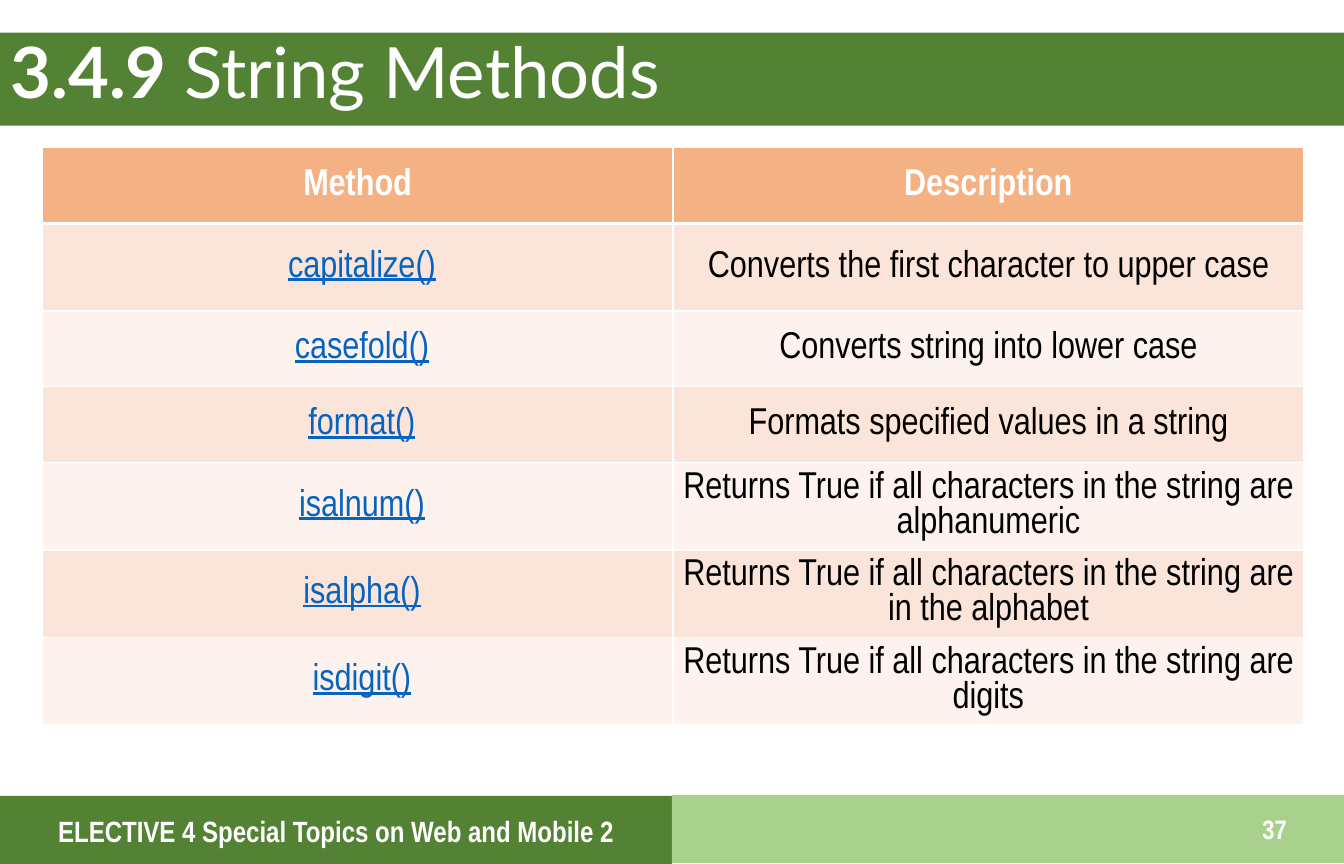
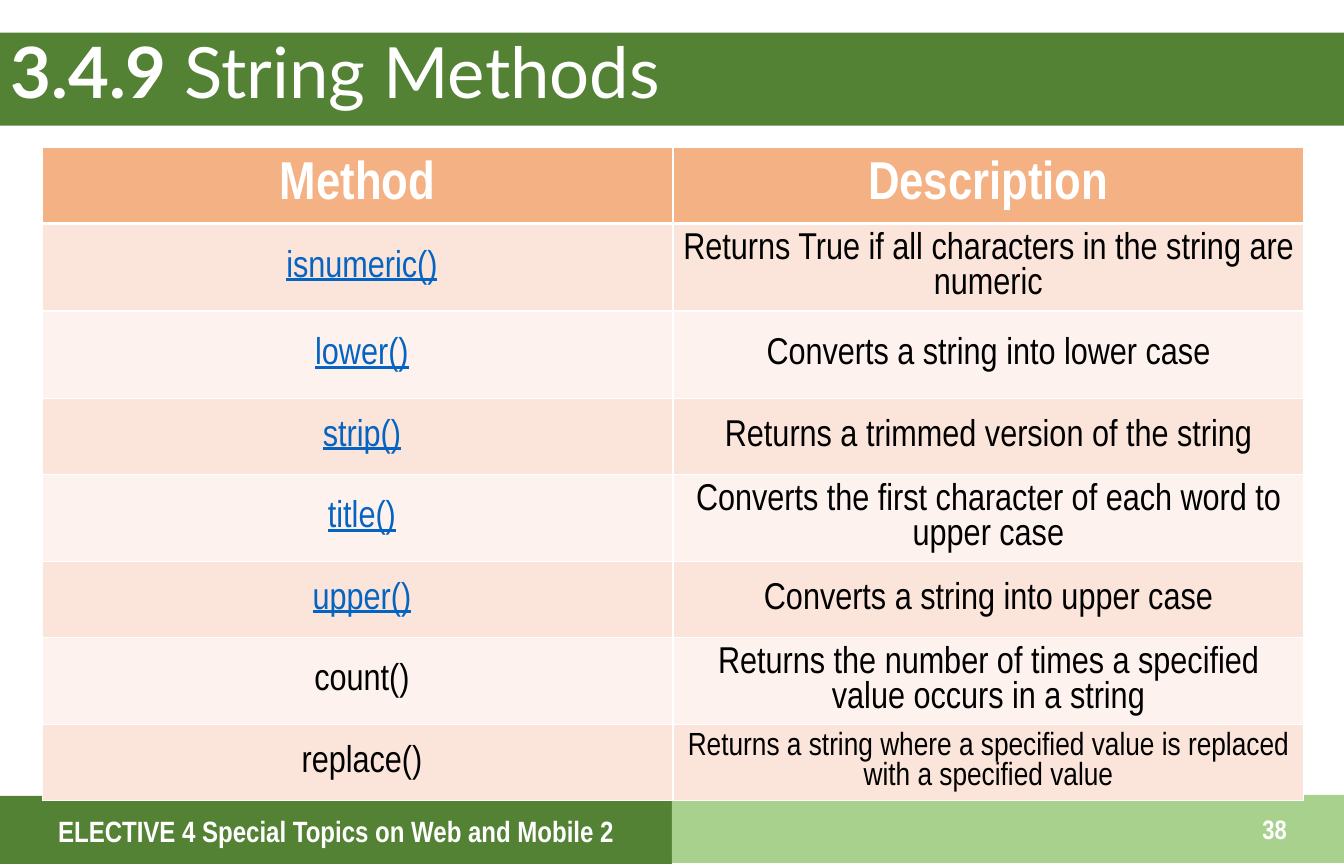
from lxml import etree
from pptx import Presentation
from pptx.dml.color import RGBColor
from pptx.enum import shapes, text
from pptx.oxml import ns
from pptx.util import Inches, Pt

# Shared style
WHITE = RGBColor(0xFF, 0xFF, 0xFF)
BLACK = RGBColor(0x00, 0x00, 0x00)
DARK_GREEN = RGBColor(0x54, 0x82, 0x35)
LIGHT_GREEN = RGBColor(0xA9, 0xD1, 0x8E)
HEADER_ORANGE = RGBColor(0xF4, 0xB1, 0x83)
ROW_TINTS = (RGBColor(0xFB, 0xE4, 0xD9), RGBColor(0xFD, 0xF2, 0xED))
LINK_BLUE = RGBColor(0x05, 0x63, 0xC1)
TITLE_FONT, BODY_FONT = "Lato", "Arial Narrow"
ROW_HEIGHT, TALL_ROW = 0.79, 0.91
LINE_PITCH = 0.94  # line height of table text, relative to its size
COURSE = "ELECTIVE 4 Special Topics on Web and Mobile 2"

# Each row: method, description, shown as a link, row height, description size
FIRST_METHODS = [
    ("capitalize()", "Converts the first character to upper case", True, TALL_ROW, 28),
    ("casefold()", "Converts string into lower case", True, ROW_HEIGHT, 28),
    ("format()", "Formats specified values in a string", True, ROW_HEIGHT, 28),
    ("isalnum()", "Returns True if all characters in the string are alphanumeric",
     True, TALL_ROW, 28),
    ("isalpha()", "Returns True if all characters in the string are in the alphabet",
     True, TALL_ROW, 28),
    ("isdigit()", "Returns True if all characters in the string are digits",
     True, TALL_ROW, 28),
]
MORE_METHODS = [
    ("isnumeric()", "Returns True if all characters in the string are numeric",
     True, TALL_ROW, 28),
    ("lower()", "Converts a string into lower case", True, TALL_ROW, 28),
    ("strip()", "Returns a trimmed version of the string", True, ROW_HEIGHT, 28),
    ("title()", "Converts the first character of each word to upper case",
     True, TALL_ROW, 28),
    ("upper()", "Converts a string into upper case", True, ROW_HEIGHT, 28),
    ("count()", "Returns the number of times a specified value occurs in a string",
     False, TALL_ROW, 28),
    ("replace()", "Returns a string where a specified value is replaced with a specified value",
     False, ROW_HEIGHT, 24),
]


class Deck:
    def __init__(self):
        self.prs = Presentation()
        self.prs.slide_width, self.prs.slide_height = Inches(14), Inches(9)
        self.slide = None

    def new_slide(self, number):
        """Start a slide with the shared bands, title and footer."""
        self.slide = self.prs.slides.add_slide(self.prs.slide_layouts[6])
        self.band(0, 0.34, 14, 0.97, DARK_GREEN)
        self.band(0, 8.29, 7, 0.71, DARK_GREEN)
        self.band(7, 8.28, 7, 0.71, LIGHT_GREEN)
        title = self.label(0, 0.3, 12.84, 0.97, ["3.4.9 ", "String Methods"], 53,
                           font=TITLE_FONT)
        title.line_spacing = 0.9
        title.runs[1].font.bold = False
        course = self.label(0, 8.41, 7, 0.48, [COURSE], 22)
        course.alignment = text.PP_ALIGN.CENTER
        self.label(13.04, 8.41, 0.57, 0.48, [str(number)], 20, text.MSO_ANCHOR.TOP)

    def band(self, left, top, width, height, color):
        band = self.slide.shapes.add_shape(
            shapes.MSO_SHAPE.RECTANGLE,
            Inches(left), Inches(top), Inches(width), Inches(height))
        band.shadow.inherit = False
        band.fill.solid()
        band.fill.fore_color.rgb = color
        band.line.fill.background()

    def label(self, left, top, width, height, parts, size,
              anchor=text.MSO_ANCHOR.MIDDLE, font=BODY_FONT):
        """Add bold white text and return its paragraph."""
        frame = self.slide.shapes.add_textbox(
            Inches(left), Inches(top), Inches(width), Inches(height)).text_frame
        frame.word_wrap = True
        frame.vertical_anchor = anchor
        frame.margin_left = frame.margin_right = Inches(0.11)
        frame.margin_top = frame.margin_bottom = Inches(0.06)
        paragraph = frame.paragraphs[0]
        for part in parts:
            paragraph.add_run().text = part
        self.style_runs(paragraph, size, WHITE, font=font, bold=True)
        return paragraph

    def style_runs(self, paragraph, size, color, font=BODY_FONT, bold=False, underline=False):
        for run in paragraph.runs:
            run.font.name = font
            run.font.size = Pt(size)
            run.font.color.rgb = color
            run.font.bold = bold
            run.font.underline = underline

    def method_table(self, methods, header_size):
        heights = [ROW_HEIGHT] + [height for _, _, _, height, _ in methods]
        table = self.slide.shapes.add_table(
            len(heights), 2, Inches(0.44), Inches(1.54),
            Inches(13.14), Inches(sum(heights))).table
        for row, height in zip(table.rows, heights):
            row.height = Inches(height)

        # Header
        for column, heading in enumerate(("Method", "Description")):
            self.cell(table.cell(0, column), heading, header_size, WHITE, HEADER_ORANGE,
                      bottom=3, bold=True)

        # Method rows
        for i, (method, description, linked, _, size) in enumerate(methods):
            tint = ROW_TINTS[i % 2]
            top = 3 if i == 0 else 1
            name_cell, description_cell = table.cell(i + 1, 0), table.cell(i + 1, 1)
            self.cell(name_cell, method, 28, LINK_BLUE if linked else BLACK, tint,
                      top=top, underline=linked)
            self.cell(description_cell, description, size, BLACK, tint, top=top)
            for cell in (name_cell, description_cell):
                cell.margin_left = cell.margin_right = Inches(0.08)
                cell.margin_top = cell.margin_bottom = Inches(0.08)
            name_cell.margin_left = Inches(0.17)

    def cell(self, cell, words, size, color, fill, top=1, bottom=1, **emphasis):
        cell.text_frame.text = words
        paragraph = cell.text_frame.paragraphs[0]
        paragraph.alignment = text.PP_ALIGN.CENTER
        paragraph.line_spacing = Pt(size * LINE_PITCH)
        self.style_runs(paragraph, size, color, **emphasis)
        cell.vertical_anchor = text.MSO_ANCHOR.MIDDLE
        self.borders(cell, {"lnL": 1, "lnR": 1, "lnT": top, "lnB": bottom})
        cell.fill.solid()
        cell.fill.fore_color.rgb = fill

    def borders(self, cell, widths):
        properties = cell._tc.get_or_add_tcPr()
        for side, width in widths.items():
            line = etree.SubElement(properties, ns.qn("a:" + side), w=str(Pt(width)))
            solid = etree.SubElement(line, ns.qn("a:solidFill"))
            etree.SubElement(solid, ns.qn("a:srgbClr"), val=str(WHITE))


def main():
    deck = Deck()
    pages = [(37, FIRST_METHODS, 28), (38, MORE_METHODS, 40)]
    for number, methods, header_size in pages:
        deck.new_slide(number)
        deck.method_table(methods, header_size)
    deck.prs.save("out.pptx")


if __name__ == "__main__":
    main()
